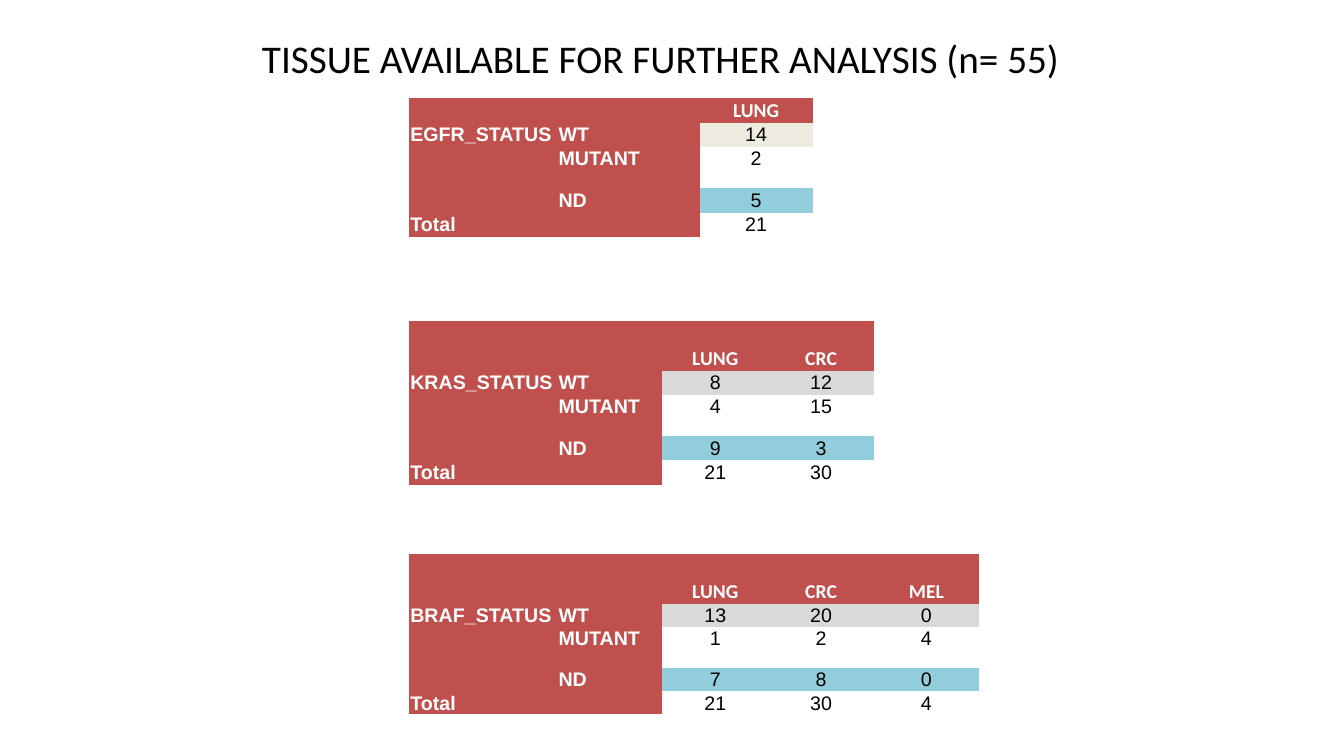
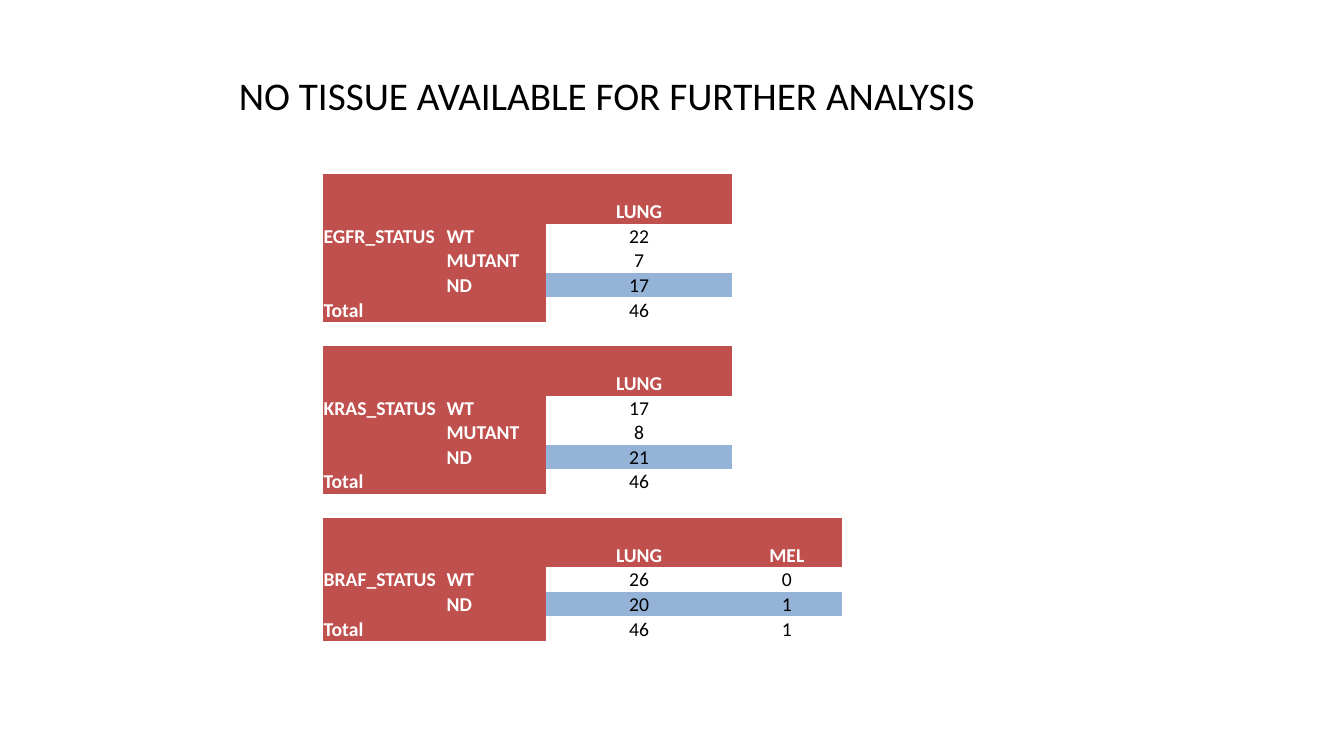
import pptx
import pptx.dml.color
import pptx.enum.text
import pptx.oxml.ns
import pptx.util
from lxml import etree

Inches = pptx.util.Inches
Pt = pptx.util.Pt
ALIGN = pptx.enum.text.PP_ALIGN
ANCHOR = pptx.enum.text.MSO_ANCHOR

RED, WHITE, BLACK = "C0504D", "FFFFFF", "000000"
CREAM, GREY, AQUA, BLUE = "EEECE1", "D9D9D9", "92CDDC", "95B3D7"
HEADING_FONT = "Calibri"
PLAIN_TABLE_STYLE = "{2D5ABB26-0587-4C30-8999-92F81FD0307C}"
ROW, HEADING_ROW = 0.24, 0.25

# In each block, "spans" holds the first and last grid column of each tissue,
# "header" and "heights" the header and data row heights, "gap" the empty rows below.
SLIDES = [
    {
        "title": "TISSUE AVAILABLE FOR FURTHER ANALYSIS (n= 55)",
        "title_at": (2.5, 0.29, 8.2, 0.57),
        "table_at": (4.06, 0.97),
        "columns": [1.47, 1.04, 0.37, 0.68, 0.44, 0.61, 1.04, 1.04],
        "font": "Arial",
        "blocks": [
            {"name": "EGFR_STATUS", "tissues": ["LUNG"], "spans": [(3, 4)],
             "rows": {"WT": [14], "MUTANT": [2], "ND": [5], "Total": [21]},
             "fills": {"WT": CREAM, "ND": AQUA},
             "header": [HEADING_ROW], "heights": [ROW, 0.41, ROW, ROW], "gap": [0.28] * 3},
            {"name": "KRAS_STATUS", "tissues": ["LUNG", "CRC"], "spans": [(2, 3), (4, 5)],
             "rows": {"WT": [8, 12], "MUTANT": [4, 15], "ND": [9, 3], "Total": [21, 30]},
             "fills": {"WT": GREY, "ND": AQUA},
             "header": [ROW, HEADING_ROW], "heights": [ROW, 0.41, ROW, ROW],
             "gap": [0.23] * 3},
            {"name": "BRAF_STATUS", "tissues": ["LUNG", "CRC", "MEL"],
             "spans": [(2, 3), (4, 5), (6, 6)],
             "rows": {"WT": [13, 20, 0], "MUTANT": [1, 2, 4],
                      "ND": [7, 8, 0], "Total": [21, 30, 4]},
             "fills": {"WT": GREY, "ND": AQUA},
             "header": [ROW, HEADING_ROW], "heights": [0.23, 0.41, 0.23, 0.22], "gap": []},
        ],
    },
    {
        "title": "NO TISSUE AVAILABLE FOR FURTHER ANALYSIS",
        "title_at": (2.27, 0.66, 7.58, 0.57),
        "table_at": (3.2, 1.73),
        "columns": [1.22, 0.63, 0.37, 1.84, 1.09],
        "font": "Calibri",
        "blocks": [
            {"name": "EGFR_STATUS", "tissues": ["LUNG"], "spans": [(3, 3)],
             "rows": {"WT": [22], "MUTANT": [7], "ND": [17], "Total": [46]},
             "fills": {"ND": BLUE},
             "header": [ROW, HEADING_ROW], "heights": [ROW] * 4, "gap": [ROW]},
            {"name": "KRAS_STATUS", "tissues": ["LUNG"], "spans": [(3, 3)],
             "rows": {"WT": [17], "MUTANT": [8], "ND": [21], "Total": [46]},
             "fills": {"ND": BLUE},
             "header": [ROW, HEADING_ROW], "heights": [ROW] * 4, "gap": [ROW]},
            {"name": "BRAF_STATUS", "tissues": ["LUNG", "MEL"], "spans": [(3, 3), (4, 4)],
             "rows": {"WT": [26, 0], "ND": [20, 1], "Total": [46, 1]},
             "fills": {"ND": BLUE},
             "header": [ROW, HEADING_ROW], "heights": [ROW] * 3, "gap": []},
        ],
    },
]


def rgb(value):
    return pptx.dml.color.RGBColor.from_string(value)


def set_font(paragraph, name, size, color, bold=False):
    font = paragraph.font
    font.name, font.size, font.bold = name, Pt(size), bold
    font.color.rgb = rgb(color)


def add_title(page, text, place):
    box = page.shapes.add_textbox(*map(Inches, place))
    box.text_frame.word_wrap = False
    box.text_frame.text = text
    set_font(box.text_frame.paragraphs[0], HEADING_FONT, 28, BLACK)


def add_plain_table(page, place, columns, heights):
    """Add a table without style, whose empty cells do not stretch their rows."""
    frame = page.shapes.add_table(len(heights), len(columns), *map(
        Inches, (*place, sum(columns), sum(heights))))
    table = frame.table
    table.first_row = table.horz_banding = False
    style = next(table._tbl.iter(pptx.oxml.ns.qn("a:tableStyleId")))
    style.text = PLAIN_TABLE_STYLE
    for column, width in zip(table.columns, columns):
        column.width = Inches(width)
    for row, height in zip(table.rows, heights):
        row.height = Inches(height)
    for cell in table.iter_cells():
        cell.margin_left = cell.margin_right = cell.margin_top = Inches(0.01)
        cell.margin_bottom = 0
        cell.fill.background()
        paragraph = cell.text_frame.paragraphs[0]
        etree.SubElement(paragraph._p, pptx.oxml.ns.qn("a:endParaRPr"), sz="800")
    return table


def fill_area(table, rows, columns, fill=None, text="", font=HEADING_FONT,
              align=ALIGN.LEFT, label=True, anchor=ANCHOR.TOP):
    """Merge the cells from first to last row and column, then colour and label them."""
    cell = table.cell(rows[0], columns[0])
    if rows[0] != rows[1] or columns[0] != columns[1]:
        cell.merge(table.cell(rows[1], columns[1]))
    if fill:
        cell.fill.solid()
        cell.fill.fore_color.rgb = rgb(fill)
    if text:
        cell.text = text
        cell.vertical_anchor = anchor
        paragraph = cell.text_frame.paragraphs[0]
        paragraph.alignment = align
        set_font(paragraph, font, 14, WHITE if label else BLACK, label)


def fill_block(table, top, block, font):
    first_value, last_value = block["spans"][0][0], block["spans"][-1][1]
    body = top + len(block["header"])
    heading = body - 1
    fill_area(table, (top, heading), (0, first_value - 1), RED)
    if heading > top:
        fill_area(table, (top, top), (first_value, last_value), RED)
    for tissue, span in zip(block["tissues"], block["spans"]):
        fill_area(table, (heading, heading), span, RED, tissue,
                  align=ALIGN.CENTER, anchor=ANCHOR.BOTTOM)

    total = body + len(block["rows"]) - 1
    fill_area(table, (body, total - 1), (0, 0), RED, block["name"], font)
    for row, (status, values) in enumerate(block["rows"].items(), body):
        label_start = 0 if row == total else 1
        fill_area(table, (row, row), (label_start, first_value - 1), RED, status, font)
        for value, span in zip(values, block["spans"]):
            fill_area(table, (row, row), span, block["fills"].get(status),
                      str(value), font, ALIGN.CENTER, label=False)


def block_heights(block):
    return block["header"] + block["heights"] + block["gap"]


def main():
    deck = pptx.Presentation()
    deck.slide_width, deck.slide_height = Inches(13.33), Inches(7.5)
    for content in SLIDES:
        page = deck.slides.add_slide(deck.slide_layouts[6])
        heights = [height for block in content["blocks"] for height in block_heights(block)]
        table = add_plain_table(page, content["table_at"], content["columns"], heights)
        top = 0
        for block in content["blocks"]:
            fill_block(table, top, block, content["font"])
            top += len(block_heights(block))
        add_title(page, content["title"], content["title_at"])
    deck.save("out.pptx")


if __name__ == "__main__":
    main()
